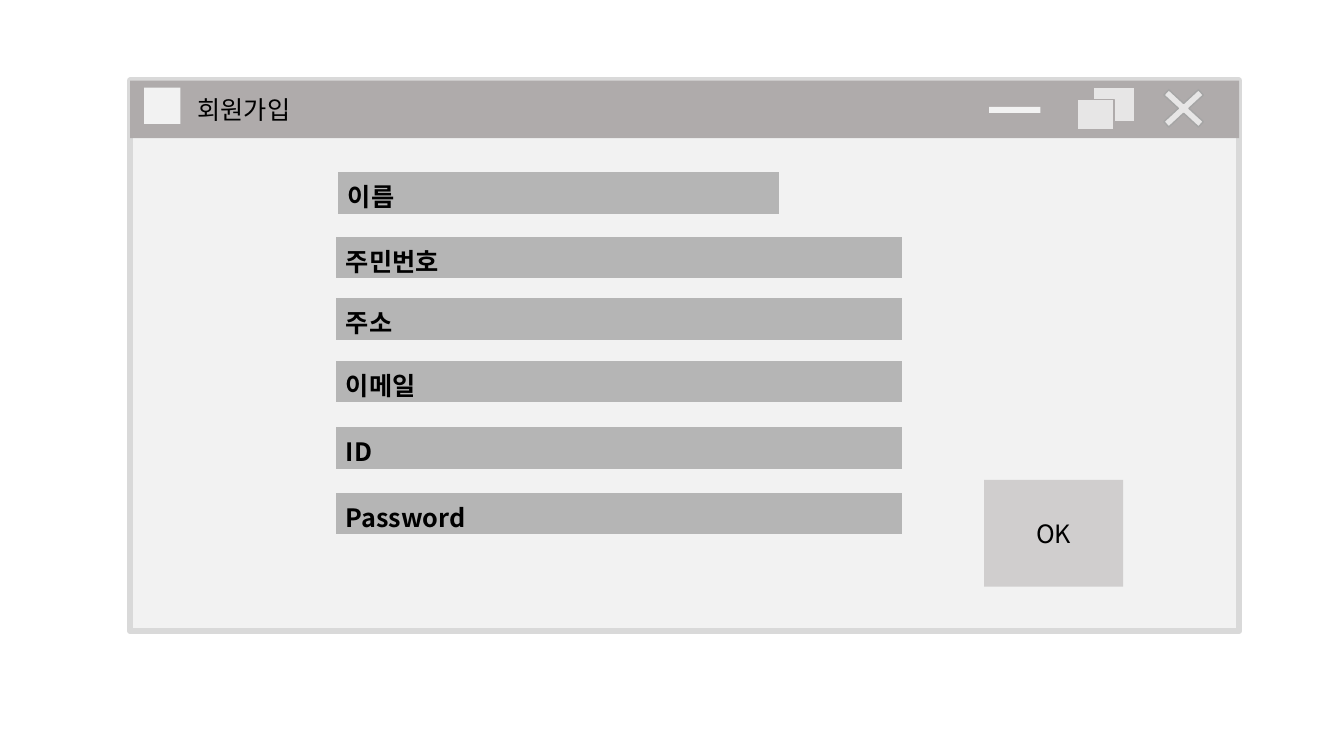
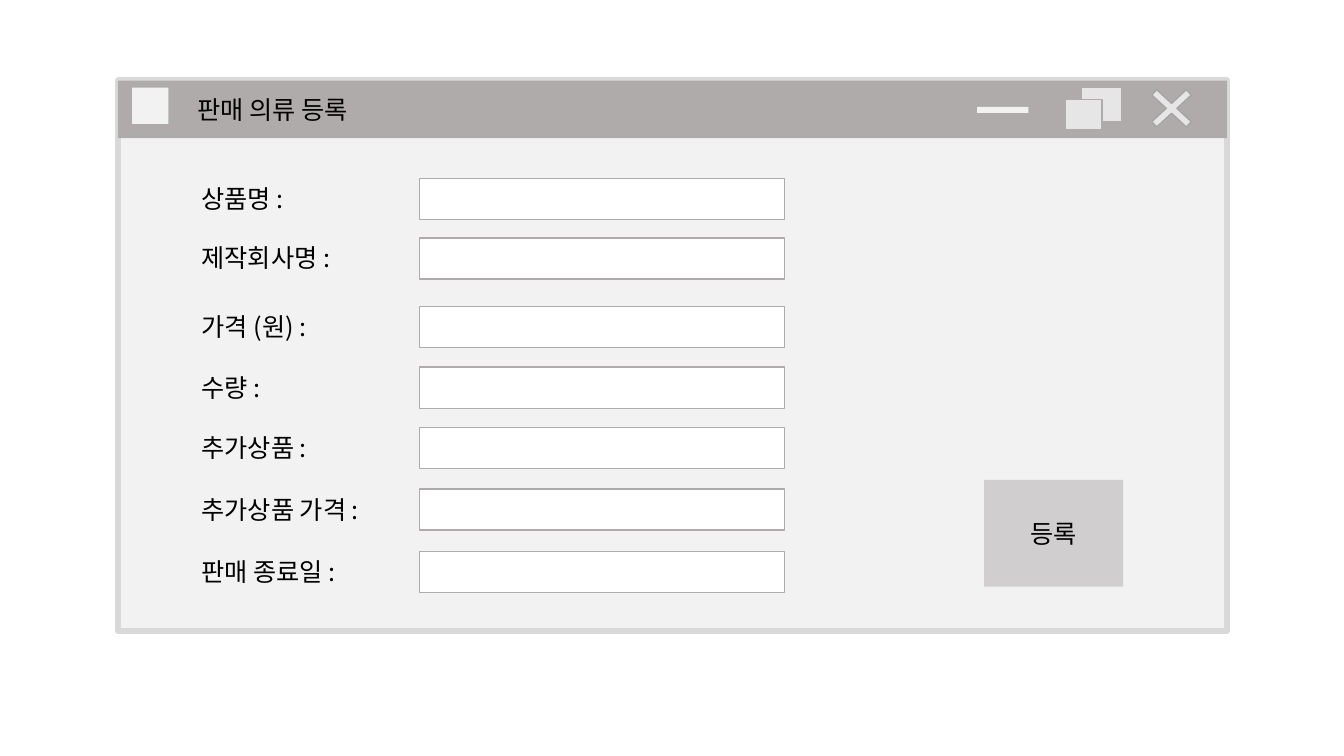
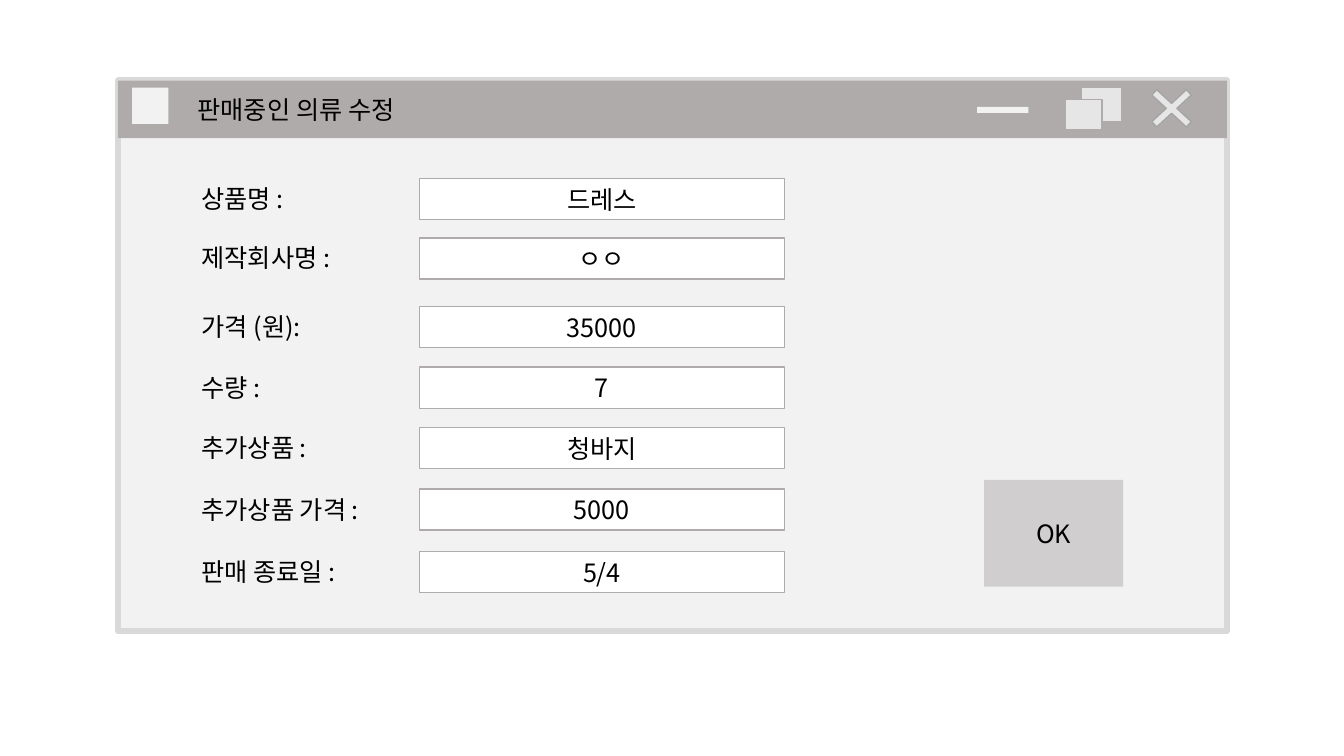
import dataclasses
import pptx
import pptx.util
import pptx.dml.color
import pptx.enum.shapes
import pptx.enum.text
import pptx.oxml
import pptx.oxml.ns

Inches = pptx.util.Inches
Pt = pptx.util.Pt
Shape = pptx.enum.shapes.MSO_SHAPE
Anchor = pptx.enum.text.MSO_ANCHOR
Align = pptx.enum.text.PP_ALIGN
Fit = pptx.enum.text.MSO_AUTO_SIZE


@dataclasses.dataclass(frozen=True)
class Theme:
    font: str = "Noto Sans CJK KR"
    size: int = 18
    ink: str = "000000"
    paper: str = "F2F2F2"
    edge: str = "D9D9D9"
    band: str = "AFABAB"
    icon: str = "E7E6E6"
    rim: str = "A5A5A5"
    cell: str = "B5B5B5"
    button: str = "D0CECE"
    field: str = "FFFFFF"
    plain: str = "{2D5ABB26-0587-4C30-8999-92F81FD0307C}"


THEME = Theme()
LABEL = {"word_wrap": True, "auto_size": Fit.SHAPE_TO_FIT_TEXT,
         "vertical_anchor": Anchor.TOP,
         "margin_left": Inches(0.1), "margin_right": Inches(0.1),
         "margin_top": Inches(0.05), "margin_bottom": Inches(0.05)}
CENTER = {"word_wrap": True, "vertical_anchor": Anchor.MIDDLE}
CELL = {"margin_left": Inches(0.1), "margin_top": Inches(0.05),
        "margin_bottom": 0, "vertical_anchor": Anchor.TOP}

TOPS = [1.77, 2.36, 3.04, 3.64, 4.24, 4.85, 5.47]
NAMES = ["상품명 : ", "제작회사명 : ", "가격 (원) : ", "수량 : ",
         "추가상품 : ", "추가상품 가격 : ", "판매 종료일 : "]
WIDTHS = [1.27, 1.69, 1.69, 1.69, 1.69, 2.09, 1.69]
VALUES = ["드레스", "ㅇㅇ", "35000", "7", "청바지", "5000", "5/4"]
ENTRIES = [
    ("이름", 3.35, 1.71, 1.03, 4.38),
    ("주민번호", 3.33, 2.35, 1.32, 5.62),
    ("주소", 3.33, 2.96, 1.32, 5.62),
    ("이메일", 3.33, 3.58, 1.32, 5.62),
    ("ID", 3.33, 4.24, 1.44, 5.62),
    ("Password", 3.33, 4.89, 1.47, 5.62),
]


def apply(item, form):
    for key, value in form.items():
        setattr(item, key, value)


def color(code):
    return pptx.dml.color.RGBColor.from_string(code)


def write(frame, text, align=Align.LEFT, bold=False):
    para = frame.paragraphs[0]
    para.alignment = align
    run = para.add_run()
    run.text = text
    apply(run.font, {"name": THEME.font, "size": Pt(THEME.size), "bold": bold})
    run.font.color.rgb = color(THEME.ink)
    east = pptx.oxml.parse_xml(
        f'<a:ea {pptx.oxml.ns.nsdecls("a")} typeface="{THEME.font}"/>')
    run.font._element.find(pptx.oxml.ns.qn("a:latin")).addnext(east)


def add_box(shapes, place, fill, line=None, weight=1, kind=Shape.RECTANGLE, text=""):
    box = shapes.add_shape(kind, *map(Inches, place))
    box.shadow.inherit = False
    box.fill.solid()
    box.fill.fore_color.rgb = color(fill)
    if line:
        box.line.color.rgb = color(line)
        box.line.width = Pt(weight)
    else:
        box.line.fill.background()
    if text:
        apply(box.text_frame, CENTER)
        write(box.text_frame, text, Align.CENTER)
    return box


def add_label(slide, place, text):
    label = slide.shapes.add_textbox(*map(Inches, place))
    apply(label.text_frame, LABEL)
    write(label.text_frame, text)


def add_title(slide, text, width):
    title = slide.shapes.title
    title.element.getparent().append(title.element)
    apply(title, {"left": Inches(1.86), "top": Inches(0.89),
                  "width": Inches(width), "height": Inches(0.4)})
    apply(title.text_frame, LABEL)
    write(title.text_frame, text)


def add_window(slide, left):
    parts = slide.shapes.add_group_shape().shapes
    add_box(parts, (left, 0.8, 11, 5.46), THEME.paper, THEME.edge, 4.5)
    add_box(parts, (left, 0.8, 11, 0.57), THEME.band)
    add_box(parts, (left + 0.14, 0.87, 0.36, 0.36), THEME.paper)
    add_box(parts, (left + 8.52, 1.06, 0.51, 0.06), THEME.paper)
    add_box(parts, (left + 9.55, 0.87, 0.41, 0.34), THEME.icon, THEME.band)
    add_box(parts, (left + 9.4, 0.99, 0.36, 0.3), THEME.icon, THEME.band)
    cross = add_box(parts, (left + 10.12, 0.77, 0.66, 0.61), THEME.icon,
                    THEME.rim, kind=Shape.MATH_MULTIPLY)
    cross.adjustments[0] = 0.118


def add_entry(slide, text, left, top, split, width):
    frame = slide.shapes.add_table(
        1, 2, *map(Inches, (left, top, width, 0.41)))
    table = frame.table
    apply(table, {"first_row": False, "horz_banding": False})
    style = next(frame.element.iter(pptx.oxml.ns.qn("a:tableStyleId")))
    style.text = THEME.plain
    for column, size in zip(table.columns, (split, width - split)):
        column.width = Inches(size)
    for cell in table.iter_cells():
        apply(cell, CELL)
        cell.fill.solid()
        cell.fill.fore_color.rgb = color(THEME.cell)
    write(table.cell(0, 0).text_frame, text, bold=True)
    write(table.cell(0, 1).text_frame, "")


def add_form(slide, names, values):
    for top, name, width, value in zip(TOPS, names, WIDTHS, values):
        add_box(slide.shapes, (4.16, top, 3.62, 0.41), THEME.field,
                THEME.band, text=value)
        add_label(slide, (1.9, top, width, 0.4), name)


def add_page(deck, title, button, left=1.17, width=2.3):
    slide = deck.slides.add_slide(deck.slide_layouts[5])
    add_window(slide, left)
    add_title(slide, title, width)
    add_box(slide.shapes, (9.76, 4.76, 1.38, 1.06), THEME.button, text=button)
    return slide


def main():
    deck = pptx.Presentation()
    apply(deck, {"slide_width": Inches(13.33), "slide_height": Inches(7.5)})

    join = add_page(deck, "회원가입", "OK", left=1.29)
    for entry in ENTRIES:
        add_entry(join, *entry)

    enroll = add_page(deck, "판매 의류 등록", "등록")
    add_form(enroll, NAMES, [""] * len(NAMES))

    edit = add_page(deck, "판매중인 의류 수정", "OK", width=2.71)
    add_form(edit, [name.replace(") :", "):") for name in NAMES], VALUES)

    deck.save("out.pptx")


main()
